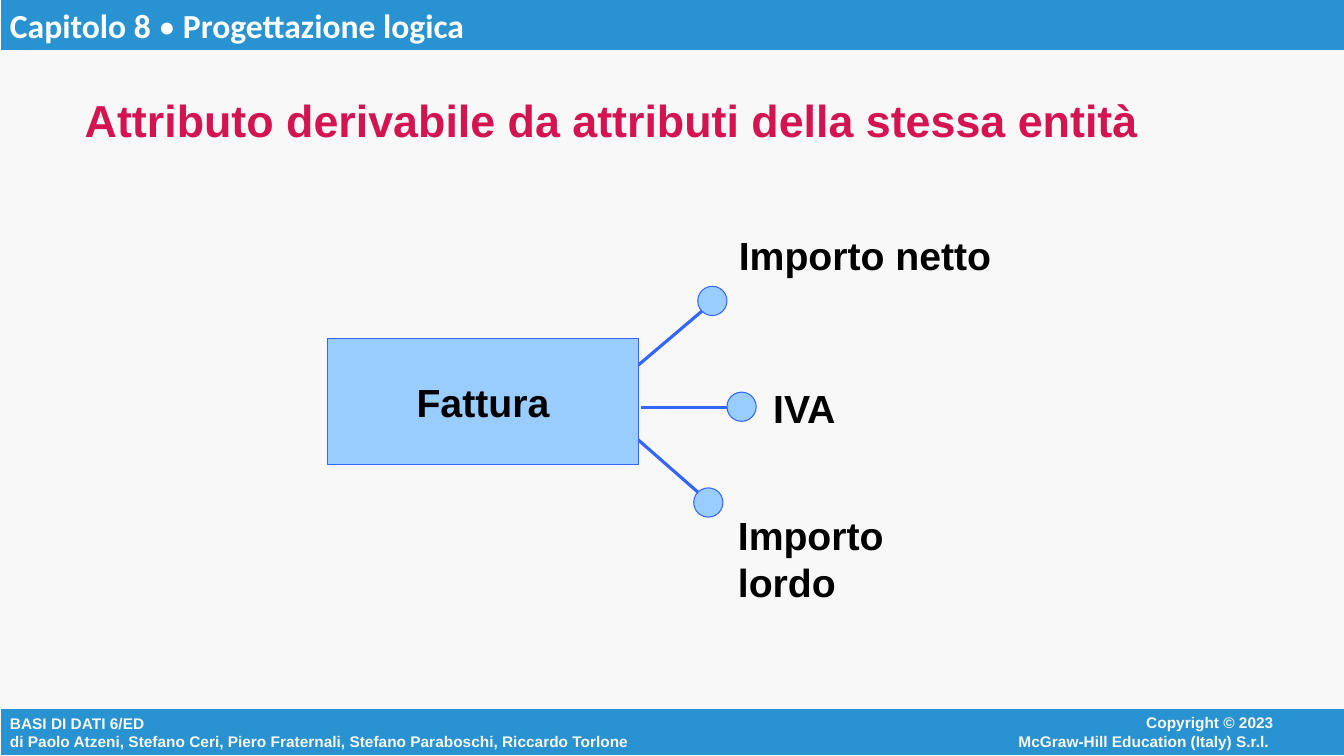
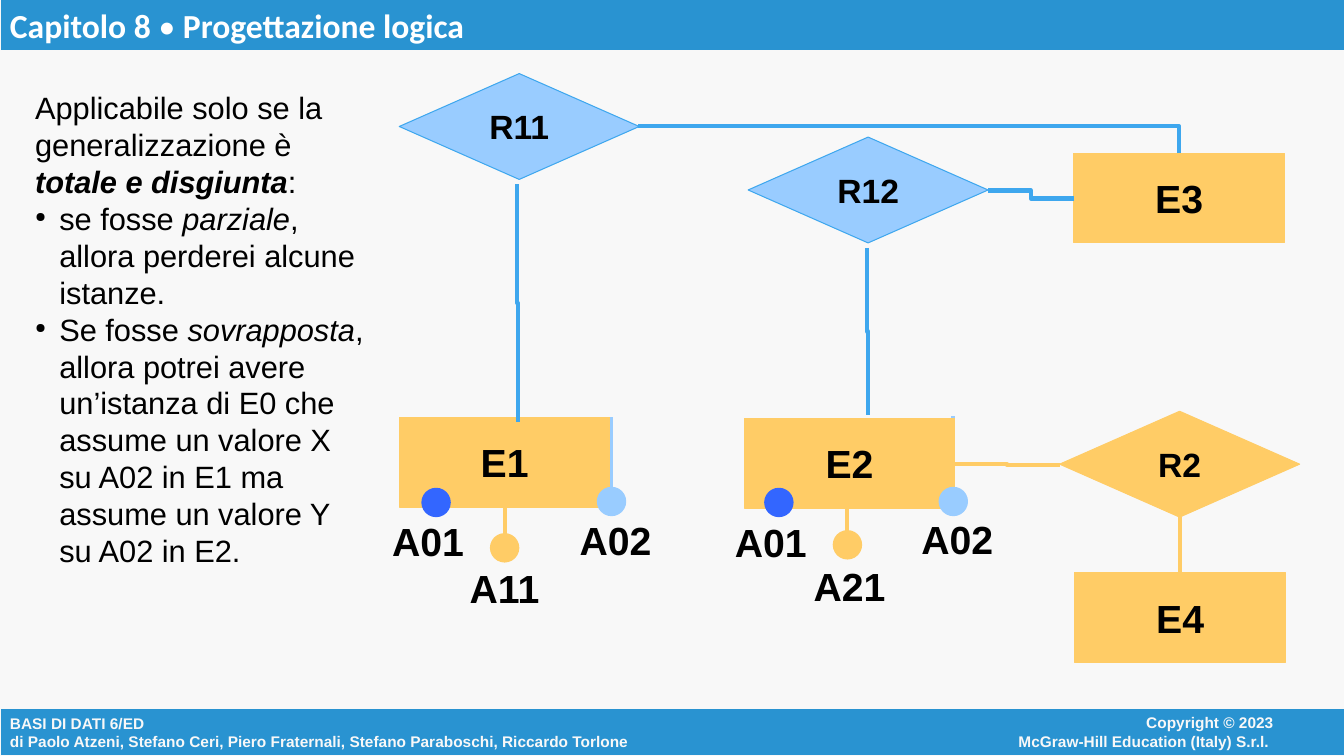
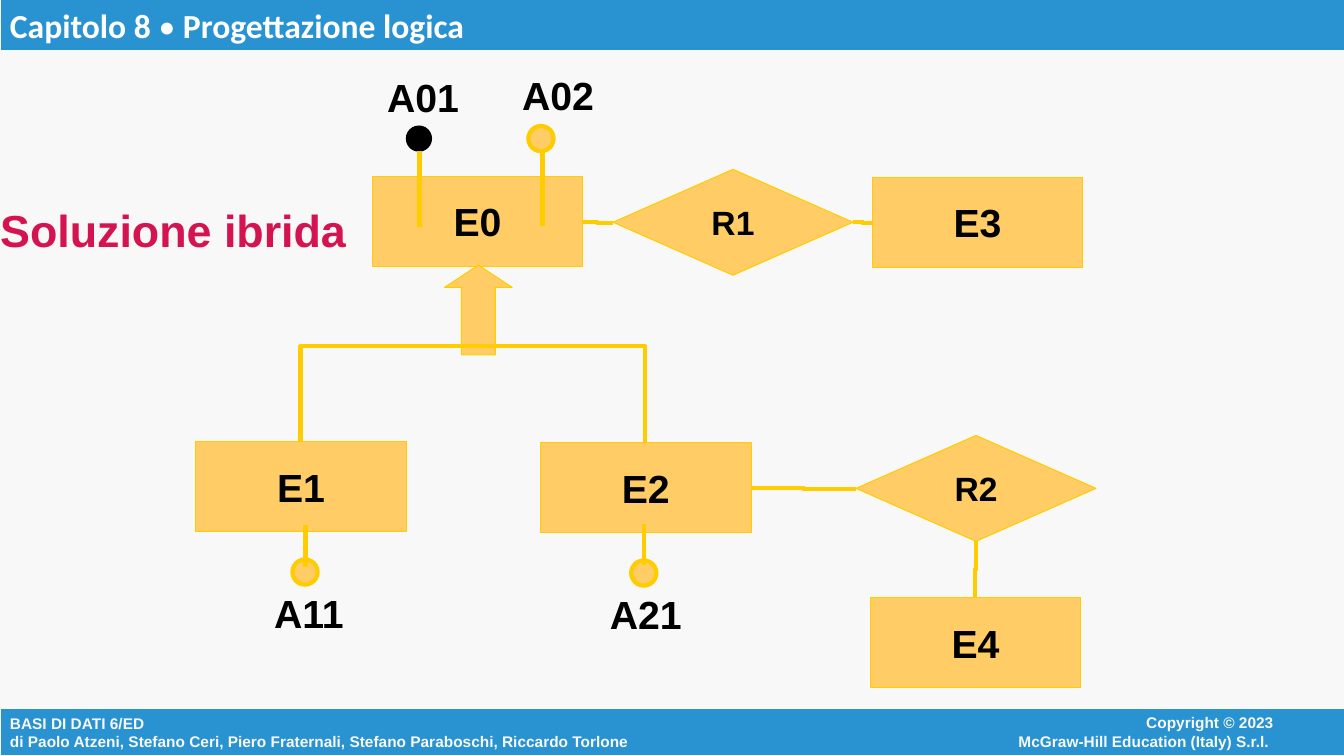
"""Build three slides on logical design: a derived attribute and two ways to map a generalization."""
from lxml.etree import SubElement
from pptx import Presentation
from pptx.dml.color import RGBColor
from pptx.enum.shapes import MSO_CONNECTOR, MSO_SHAPE
from pptx.enum.text import MSO_ANCHOR, MSO_AUTO_SIZE, PP_ALIGN
from pptx.oxml.ns import qn
from pptx.util import Inches, Pt


class Theme:
    paper, band, white = "F8F8F8", "2993D1", "FFFFFF"
    title, black = "D41450", "000000"
    blue, sky, azure = "3366FF", "99CCFF", "3EA7EE"
    sand, gold = "FFCC66", "FFCC00"
    face, head = "Arial", "Calibri"
    small, body, role, label, large = 11, 22, 24, 28, 32
    thin, mid, thick = 0.75, 2.25, 3


RECT, ROUND, ROLE = MSO_SHAPE.RECTANGLE, MSO_SHAPE.OVAL, MSO_SHAPE.DIAMOND
LEFT, CENTER, RIGHT = PP_ALIGN.LEFT, PP_ALIGN.CENTER, PP_ALIGN.RIGHT
BOX, RHOMB, DOT = (2.09, 0.89), (2.38, 1.05), (0.25, 0.25)


def put(slide, kind, at, text=(), fill=None, line=None, width=Theme.thin, size=Theme.label,
        ink=Theme.black, face=Theme.face, bold=True, align=CENTER, wrap=True, anchor=MSO_ANCHOR.MIDDLE):
    """Place a text box, the title or a preset shape, and write its paragraphs."""
    spot = [Inches(v) for v in at]
    if kind == "title":
        shape = slide.shapes.title
        for key, val in zip(("left", "top", "width", "height"), spot):
            setattr(shape, key, val)
    elif kind == "text":
        shape = slide.shapes.add_textbox(*spot)
    else:
        shape = slide.shapes.add_shape(kind, *spot)
        shape.shadow.inherit = False
        shape.fill.solid()
        shape.fill.fore_color.rgb = RGBColor.from_string(fill)
        shape.line.color.rgb = RGBColor.from_string(line)
        shape.line.width = Pt(width)
    frame = shape.text_frame
    look = {"word_wrap": wrap, "vertical_anchor": anchor, "auto_size": MSO_AUTO_SIZE.NONE}
    if kind == "title":
        look.update(dict.fromkeys(("margin_left", "margin_right", "margin_top", "margin_bottom"), 0))
    if kind == "text":
        look.update(vertical_anchor=MSO_ANCHOR.TOP, auto_size=MSO_AUTO_SIZE.SHAPE_TO_FIT_TEXT)
    for key, val in look.items():
        setattr(frame, key, val)
    for n, runs in enumerate([text] if isinstance(text, str) else text):
        para = frame.add_paragraph() if n else frame.paragraphs[0]
        para.alignment = align
        for words, extra in [(runs, {})] if isinstance(runs, str) else runs:
            run = para.add_run()
            run.text = words
            form = {"name": face, "size": Pt(size), "bold": bold, **extra}
            for key, val in form.items():
                setattr(run.font, key, val)
            run.font.color.rgb = RGBColor.from_string(ink)
    return shape


def link(slide, start, end, ink, bend=None, turn=False, adj=None, width=Theme.thick):
    """Join two points, straight or bent; turn makes the first leg of a bend vertical."""
    ends = [start, end]
    if turn:
        x, y = [sum(pair) / 2 for pair in zip(start, end)]
        ends = [(x - (v - y), y + (u - x)) for u, v in ends]
    kind = MSO_CONNECTOR.ELBOW if bend else MSO_CONNECTOR.STRAIGHT
    wire = slide.shapes.add_connector(kind, *[Inches(v) for point in ends for v in point])
    wire.line.color.rgb = RGBColor.from_string(ink)
    wire.line.width = Pt(width)
    props = wire.element.spPr
    if turn:
        props.find(qn("a:xfrm")).set("rot", "16200000")
    if bend:
        shape = props.find(qn("a:prstGeom"))
        shape.set("prst", f"bentConnector{bend}")
        if adj is not None:
            SubElement(shape.find(qn("a:avLst")), qn("a:gd"), name="adj1", fmla=f"val {adj * 100000}")
    SubElement(props, qn("a:effectLst"))


deck = Presentation()
deck.slide_width, deck.slide_height = Inches(13.33), Inches(7.5)
master = deck.slide_master
master.background.fill.solid()
master.background.fill.fore_color.rgb = RGBColor.from_string(Theme.paper)
bill, split, mixed = [deck.slides.add_slide(deck.slide_layouts[n]) for n in (5, 6, 5)]

fine = {"size": Theme.small, "ink": Theme.paper}
bar = {"fill": Theme.band, "line": Theme.paper, "align": LEFT}
bands = [
    put(bill, RECT, (0, 7.03, 13.35, 0.47),
        ["BASI DI DATI 6/ED",
         "di Paolo Atzeni, Stefano Ceri, Piero Fraternali, Stefano Paraboschi, Riccardo Torlone"],
        **bar, **fine),
    put(bill, "text", (8.89, 7.03, 3.84, 0.46),
        ["Copyright © 2023", "McGraw-Hill Education (Italy) S.r.l. "], align=RIGHT, **fine),
    put(bill, RECT, (0, 0, 13.35, 0.5),
        [[("Capitolo 8 ", {}), ("•", {"bold": False}), (" Progettazione logica", {})]],
        width=0, size=Theme.role, ink=Theme.white, face=Theme.head, anchor=MSO_ANCHOR.TOP, **bar),
]
for n, band in enumerate(bands):
    band.element.nvSpPr.cNvPr.id = 20 + n
    master.shapes.element.append(band.element)

for slide, at, text in [
    (bill, (0.35, 0.99, 11.44, 0.39), "Attributo derivabile da attributi della stessa entità"),
    (mixed, (-0.36, 2.08, 4.16, 0.39), "Soluzione ibrida"),
]:
    put(slide, "title", at, text, size=Theme.large, ink=Theme.title)

tint = {"fill": Theme.sky, "line": Theme.blue}
for start, end, dot, spot, text in [
    ((7.23, 4.04), (6.36, 4.04), (7.21, 3.89), (7.57, 3.76, 0.82, 0.56), "IVA"),
    ((6.97, 3.08), (6.31, 3.64), (6.92, 2.84), (7.23, 2.25, 2.7, 0.56), "Importo netto"),
    ((6.93, 4.89), (6.28, 4.32), (6.88, 4.84), (7.22, 5.02, 2.72, 0.56), "Importo lordo"),
]:
    link(bill, start, end, Theme.blue, width=Theme.mid)
    put(bill, ROUND, (*dot, 0.29, 0.29), **tint)
    put(bill, "text", spot, text, align=LEFT, wrap=False)
put(bill, RECT, (3.25, 3.36, 3.08, 1.25), "Fattura", **tint)

for x, y, ink in [(4.32, 4.14, Theme.blue), (7.73, 4.15, Theme.blue),
                  (6.06, 4.14, Theme.sky), (9.45, 4.13, Theme.sky)]:
    link(split, (x, y), (x, y + 0.75), ink)
link(split, (11.7, 5.13), (11.7, 5.68), Theme.sand)
link(split, (9.46, 4.6), (10.51, 4.61), Theme.sand, bend=3)

for slide, line, names in [
    (split, Theme.sand, {"E3": (10.65, 1.52), "E4": (10.66, 5.68), "E2": (7.38, 4.15),
                         "E1": (3.96, 4.14), "R2": (10.51, 4.08)}),
    (split, Theme.azure, {"R12": (7.42, 1.36), "R11": (3.96, 0.73)}),
    (mixed, Theme.gold, {"E0": (3.69, 1.75), "E3": (8.65, 1.76), "E4": (8.63, 5.93),
                         "E2": (5.36, 4.39), "E1": (1.94, 4.38), "R1": (6.08, 1.68),
                         "R2": (8.49, 4.32)}),
]:
    fill = Theme.sky if line == Theme.azure else Theme.sand
    for name, at in names.items():
        kind, area, size = (RECT, BOX, Theme.label) if name[0] == "E" else (ROLE, RHOMB, Theme.role)
        put(slide, kind, (*at, *area), name, fill=fill, line=line, size=size)

put(mixed, MSO_SHAPE.UP_ARROW, (4.41, 2.63, 0.67, 0.89),
    fill=Theme.sand, line=Theme.gold).adjustments[1] = 0.33

for slide, start, end, ink, form in [
    (split, (10.65, 1.97), (9.8, 1.89), Theme.azure, {"bend": 3}),
    (split, (8.6, 2.46), (8.61, 4.12), Theme.azure, {"bend": 3, "turn": True}),
    (split, (11.69, 1.52), (6.33, 1.25), Theme.azure, {"bend": 2, "turn": True}),
    (split, (5.13, 1.83), (5.14, 4.19), Theme.azure, {"bend": 3, "turn": True}),
    (mixed, (9.68, 5.37), (9.67, 5.93), Theme.gold, {"bend": 3, "turn": True}),
    (mixed, (5.77, 2.2), (6.08, 2.21), Theme.gold, {"bend": 3}),
    (mixed, (8.46, 2.2), (8.65, 2.21), Theme.gold, {"bend": 3}),
    (mixed, (7.45, 4.84), (8.49, 4.85), Theme.gold, {"bend": 3}),
    (mixed, (2.98, 4.38), (6.4, 4.39), Theme.gold, {"bend": 3, "turn": True, "adj": -96}),
]:
    link(slide, start, end, ink, **form)

for slide, name, spot, dot, fill, line, stem in [
    (split, "A11", (4.56, 5.55), (4.88, 5.31), Theme.sand, Theme.sand, (5.01, 4.97, 5.39)),
    (split, "A21", (7.97, 5.53), (8.28, 5.28), Theme.sand, Theme.sand, (8.4, 4.91, 5.33)),
    (split, "A01", (3.79, 5.08), (4.2, 4.86), Theme.blue, Theme.blue, None),
    (split, "A02", (5.65, 5.07), (5.94, 4.85), Theme.sky, Theme.sky, None),
    (split, "A01", (7.19, 5.09), (7.6, 4.86), Theme.blue, Theme.blue, None),
    (split, "A02", (9.04, 5.06), (9.33, 4.85), Theme.sky, Theme.sky, None),
    (mixed, "A01", (3.74, 0.68), (4.03, 1.25), Theme.black, Theme.black, (4.16, 1.5, 2.25)),
    (mixed, "A02", (5.08, 0.66), (5.24, 1.25), Theme.sand, Theme.gold, (5.38, 1.49, 2.24)),
    (mixed, "A11", (2.62, 5.8), (2.9, 5.55), Theme.sand, Theme.gold, (3.03, 5.21, 5.63)),
    (mixed, "A21", (5.95, 5.81), (6.26, 5.56), Theme.sand, Theme.gold, (6.39, 5.2, 5.61)),
]:
    width = Theme.thin if fill == Theme.black else Theme.thick
    put(slide, ROUND, (*dot, *DOT), fill=fill, line=line, width=width)
    if stem:
        x, top, foot = stem
        link(slide, (x, top), (x, foot), Theme.gold if slide is mixed else Theme.sand)
    put(slide, "text", (*spot, 0.89 if name == "A11" else 0.91, 0.56), name, align=LEFT, wrap=False)

slant = {"italic": True}
note = put(split, "text", (0.25, 0.83, 3.52, 6), [
    [("Applicabile solo se la generalizzazione è ", {}),
     ("totale e disgiunta", {"bold": True, "italic": True}), (":", {})],
    [("se fosse ", {}), ("parziale", slant), (", allora perderei alcune istanze.", {})],
    [("Se fosse ", {}), ("sovrapposta", slant),
     (", allora potrei avere un’istanza di E0 che assume un valore X su A02 in E1 "
      "ma assume un valore Y su A02 in E2.", {})],
], size=Theme.body, bold=False, align=LEFT)
for para in note.text_frame.paragraphs[1:]:
    props = para._p.get_or_add_pPr()
    props.set("marL", str(Inches(0.24)))
    props.set("indent", str(Inches(-0.24)))
    SubElement(SubElement(props, qn("a:buClr")), qn("a:srgbClr"), val=Theme.black)
    SubElement(props, qn("a:buSzPct"), val="45000")
    SubElement(props, qn("a:buChar"), char="●")

deck.save("out.pptx")
